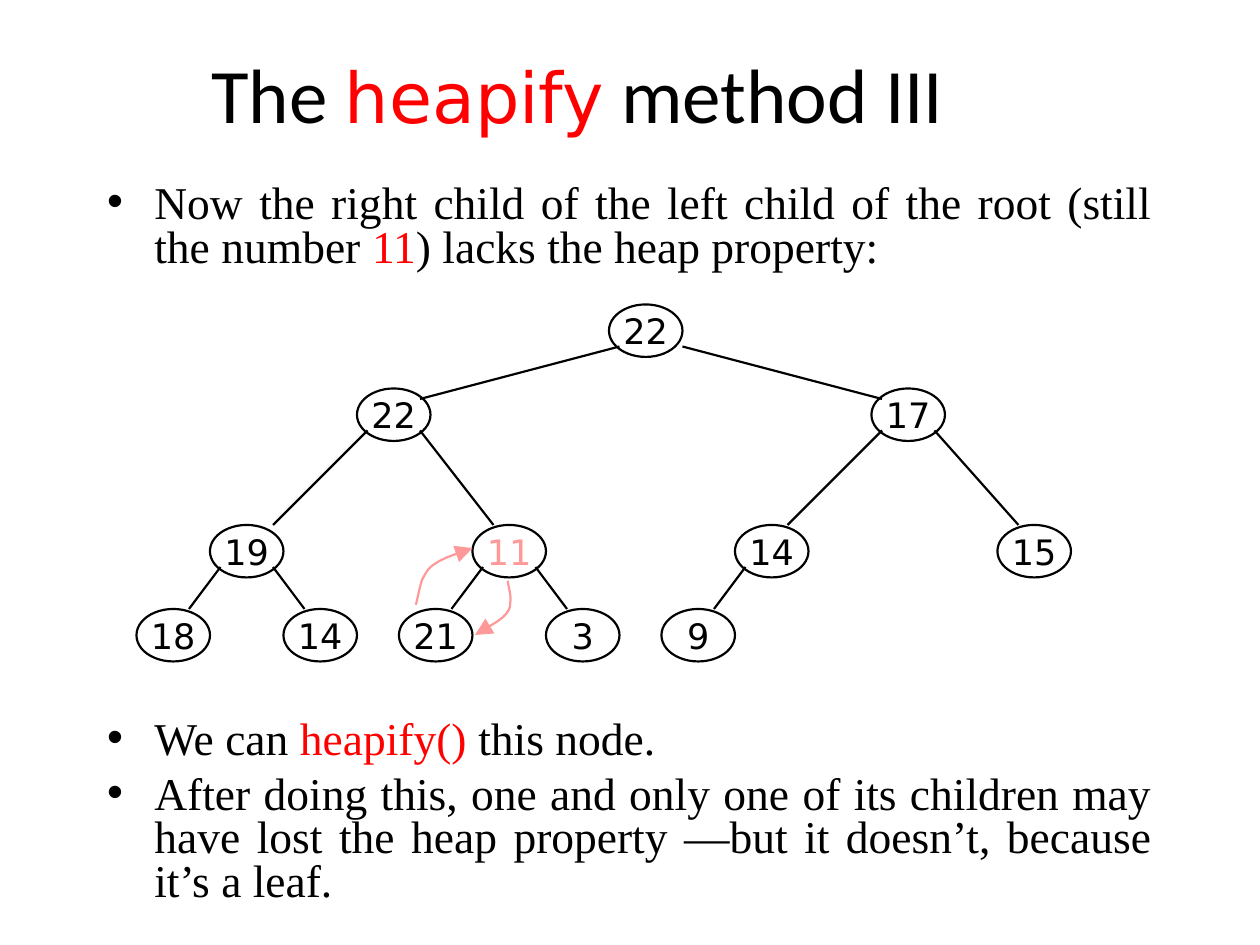
import pptx
import pptx.util
import pptx.dml.color
import pptx.enum.shapes
import pptx.enum.text
import pptx.oxml
import pptx.oxml.ns
import lxml.etree

COLORS = {"ink": "000000", "accent": "FF0000", "swap": "FF9999"}
FONTS = {"title": "Calibri", "code": "DejaVu Sans", "body": "Times New Roman"}
CELL = 1 / 12  # grid step in inches
NODE_COLS, NODE_ROWS = 7, 5
ALIGN = pptx.enum.text.PP_ALIGN
ANCHOR = pptx.enum.text.MSO_ANCHOR


def rgb(color):
    return pptx.dml.color.RGBColor.from_string(COLORS[color])


def grid(*cells):
    return [pptx.util.Inches(cell * CELL) for cell in cells]


def apply(target, values):
    for name, value in values.items():
        setattr(target, name, value)


def add_runs(paragraph, runs):
    for wording, font, size, color in runs:
        run = paragraph.add_run()
        run.text = wording
        apply(run.font, {"name": FONTS[font], "size": pptx.util.Pt(size)})
        run.font.color.rgb = rgb(color)


def fill_placeholder(placeholder, box, paragraphs, frame_format, paragraph_format):
    """Move a template placeholder to a grid box and set its paragraphs."""
    apply(placeholder, dict(zip(("left", "top", "width", "height"), grid(*box))))
    frame = placeholder.text_frame
    apply(frame, {"auto_size": pptx.enum.text.MSO_AUTO_SIZE.NONE,
                  "word_wrap": True, **frame_format})
    for index, runs in enumerate(paragraphs):
        paragraph = frame.add_paragraph() if index else frame.paragraphs[0]
        apply(paragraph, paragraph_format)
        add_runs(paragraph, runs)


def add_title(placeholder, box):
    runs = [("The ", "title", 44, "ink"), ("heapify", "code", 40, "accent"),
            (" method III", "title", 44, "ink")]
    fill_placeholder(placeholder, box, [runs],
                     {"vertical_anchor": ANCHOR.MIDDLE}, {"alignment": ALIGN.CENTER})


def add_bullets(placeholder, box, bullets):
    paragraphs = [[(wording, "body", 26, color) for wording, color in bullet]
                  for bullet in bullets]
    fill_placeholder(placeholder, box, paragraphs, {"vertical_anchor": ANCHOR.TOP},
                     {"alignment": ALIGN.JUSTIFY, "line_spacing": 0.8,
                      "space_before": pptx.util.Pt(6.5)})


def style_line(line, color):
    line.color.rgb = rgb(color)
    line.width = pptx.util.Pt(1.25)


def add_node(shapes, col, row, value, color):
    node = shapes.add_shape(pptx.enum.shapes.MSO_SHAPE.OVAL,
                            *grid(col, row, NODE_COLS, NODE_ROWS))
    node.shadow.inherit = False
    node.fill.background()
    style_line(node.line, "ink")
    apply(node.text_frame, {"word_wrap": False, "vertical_anchor": ANCHOR.MIDDLE})
    label = node.text_frame.paragraphs[0]
    label.alignment = ALIGN.CENTER
    add_runs(label, [(value, "code", 20, color)])


def add_edge(shapes, start, end):
    edge = shapes.add_connector(pptx.enum.shapes.MSO_CONNECTOR.STRAIGHT,
                                *grid(*start, *end))
    style_line(edge.line, "ink")
    lxml.etree.SubElement(edge._element.spPr, pptx.oxml.ns.qn("a:effectLst"))


def add_tree(slide, box, nodes, edges):
    """Place nodes by grid cell; edges leave and arrive at offsets in a node."""
    left, top = box
    shapes = slide.shapes.add_group_shape().shapes
    cells = {key: (left + col, top + row) for key, (col, row, _, _) in nodes.items()}
    for parent, child, leave, arrive in edges:
        (from_col, from_row), (to_col, to_row) = cells[parent], cells[child]
        drop = 1 if parent == "root" else 0
        add_edge(shapes, (from_col + leave, from_row + 4),
                 (to_col + arrive, to_row + drop))
    for key, (_, _, value, color) in nodes.items():
        add_node(shapes, *cells[key], value, color)


def add_swap_arrow(slide, box, points):
    """Draw a Bezier arrow; box and points are whole hundredths of an inch."""
    qn = pptx.oxml.ns.qn
    left, top = box
    start, *rest = [(left + x, top + y) for x, y in points]
    builder = slide.shapes.build_freeform(*start, scale=pptx.util.Inches(0.01))
    builder.add_line_segments(rest, close=False)
    arrow = builder.convert_to_shape()
    arrow.shadow.inherit = False
    arrow.fill.background()
    style_line(arrow.line, "swap")
    lxml.etree.SubElement(arrow.line._get_or_add_ln(), qn("a:tailEnd"),
                          type="triangle", w="lg", len="lg")
    # Every three straight steps become one cubic curve
    steps = list(arrow._element.iter(qn("a:lnTo")))
    outline = steps[0].getparent()
    for first in range(0, len(steps), 3):
        curve = lxml.etree.SubElement(outline, qn("a:cubicBezTo"))
        for step in steps[first:first + 3]:
            curve.append(step[0])
            outline.remove(step)


# Column, row, value and colour of each node, from the tree's corner
NODES = {
    "root": (45, 0, "22", "ink"),
    "left": (21, 8, "22", "ink"), "right": (70, 8, "17", "ink"),
    "left_left": (7, 21, "19", "ink"), "left_right": (32, 21, "11", "swap"),
    "right_left": (57, 21, "14", "ink"), "right_right": (82, 21, "15", "ink"),
    "leaf_18": (0, 29, "18", "ink"), "leaf_14": (14, 29, "14", "ink"),
    "leaf_21": (25, 29, "21", "ink"), "leaf_3": (39, 29, "3", "ink"),
    "leaf_9": (50, 29, "9", "ink"),
}
# Parent, child, column offset in the parent and in the child
EDGES = [
    ("root", "left", 1, 6), ("root", "right", 7, 1),
    ("left", "left_left", 1, 6), ("left", "left_right", 6, 2),
    ("right", "right_left", 1, 5), ("right", "right_right", 6, 2),
    ("left_left", "leaf_18", 1, 5), ("left_left", "leaf_14", 6, 2),
    ("left_right", "leaf_21", 1, 5), ("left_right", "leaf_3", 6, 2),
    ("right_left", "leaf_9", 1, 5),
]
SWAP_UP = [(0, 45), (1, 42), (3, 31), (5, 25), (8, 20),
           (9, 16), (16, 12), (22, 8), (39, 2), (45, 0)]
SWAP_DOWN = [(26, 0), (26, 3), (29, 12), (28, 17), (28, 22),
             (27, 24), (22, 29), (17, 33), (5, 40), (0, 43)]

presentation = pptx.Presentation()
presentation.slide_width = pptx.util.Inches(10)
presentation.slide_height = pptx.util.Inches(7.5)
heapify_slide = presentation.slides.add_slide(presentation.slide_layouts[3])
title, problem, remedy = list(heapify_slide.placeholders)[:3]

# Title and bullets
add_title(title, (6, 3.6, 98, 10.4))
add_bullets(problem, (9, 17, 102, 13), [
    [("Now the right child of the left child of the root (still the number ", "ink"),
     ("11", "accent"), (") lacks the heap property:", "ink")]])
add_bullets(remedy, (9, 68, 102, 19), [
    [("We can ", "ink"), ("heapify() ", "accent"), ("this node.", "ink")],
    [("After doing this, one and only one of its children may have lost the heap "
      "property —but it doesn’t, because it’s a leaf.", "ink")]])

# Heap and the swap between 11 and 21
add_tree(heapify_slide, (13, 29), NODES, EDGES)
add_swap_arrow(heapify_slide, (330, 435), SWAP_UP)
add_swap_arrow(heapify_slide, (377, 461), SWAP_DOWN)

presentation.save("out.pptx")
